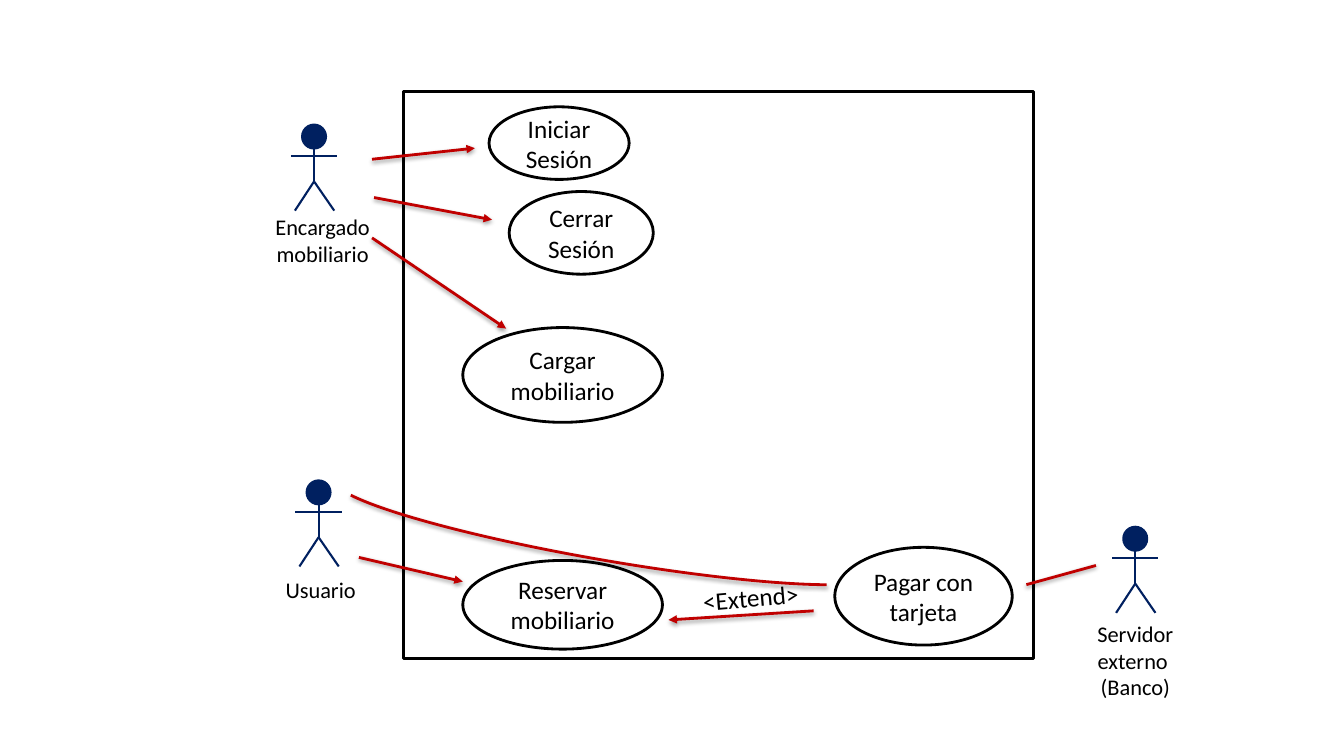
import lxml.etree
import pptx
import pptx.dml.color
import pptx.enum.shapes
import pptx.enum.text
import pptx.oxml.ns
import pptx.util
from dataclasses import dataclass

SHAPES = pptx.enum.shapes.MSO_SHAPE


@dataclass(frozen=True)
class Theme:
    paper: str = "FFFFFF"
    ink: str = "000000"
    actor: str = "002060"
    link: str = "C00000"
    font: str = "Calibri"
    case_size: int = 18
    label_size: int = 16
    outline: float = 2
    limb: float = 1.5
    cell: float = 0.1


class UseCaseDiagram:
    """Draws use-case elements on a page, in columns and rows of the theme's grid."""

    def __init__(self, page, theme):
        self.page = page
        self.theme = theme

    def grid(self, *cells):
        return [pptx.util.Inches(cell * self.theme.cell) for cell in cells]

    def color(self, value):
        return pptx.dml.color.RGBColor.from_string(value)

    def stroke(self, item, color, width):
        item.line.color.rgb = self.color(color)
        item.line.width = pptx.util.Pt(width)

    def child(self, parent, tag, **attributes):
        return lxml.etree.SubElement(parent, pptx.oxml.ns.qn(tag), attributes)

    def effects(self, item, shadow=False):
        effect_list = self.child(item._element.spPr, "a:effectLst")
        if shadow:
            outer = self.child(effect_list, "a:outerShdw", blurRad=str(pptx.util.Pt(3.1)),
                               dist=str(pptx.util.Pt(1.6)), dir="5400000", rotWithShape="0")
            tint = self.child(outer, "a:srgbClr", val=self.theme.ink)
            self.child(tint, "a:alpha", val="37000")

    def add_text(self, item, lines, size):
        frame = item.text_frame
        frame.word_wrap = True
        for index, line in enumerate(lines):
            para = frame.paragraphs[0] if index == 0 else frame.add_paragraph()
            para.alignment = pptx.enum.text.PP_ALIGN.CENTER
            span = para.add_run()
            span.text = line
            span.font.name = self.theme.font
            span.font.size = pptx.util.Pt(size)
            span.font.color.rgb = self.color(self.theme.ink)

    def outline(self, kind, area, fill, line, shapes=None):
        shape = (shapes or self.page.shapes).add_shape(kind, *self.grid(*area))
        shape.fill.solid()
        shape.fill.fore_color.rgb = self.color(fill)
        self.stroke(shape, line, self.theme.outline)
        shape.shadow.inherit = False
        return shape

    def system(self, *area):
        self.outline(SHAPES.RECTANGLE, area, self.theme.paper, self.theme.ink)

    def case(self, text, *area):
        ellipse = self.outline(SHAPES.OVAL, area, self.theme.paper, self.theme.ink)
        ellipse.text_frame.vertical_anchor = pptx.enum.text.MSO_ANCHOR.MIDDLE
        self.add_text(ellipse, [text], self.theme.case_size)

    def label(self, lines, area, size, rotation=0):
        box = self.page.shapes.add_textbox(*self.grid(*area))
        box.rotation = rotation
        self.add_text(box, lines, size)
        box.text_frame.auto_size = pptx.enum.text.MSO_AUTO_SIZE.SHAPE_TO_FIT_TEXT

    def line(self, shapes, ends, color, width):
        straight = pptx.enum.shapes.MSO_CONNECTOR.STRAIGHT
        connector = shapes.add_connector(straight, *self.grid(*ends))
        self.stroke(connector, color, width)
        return connector

    def actor(self, center, top):
        shapes = self.page.shapes.add_group_shape().shapes
        self.outline(SHAPES.OVAL, (center - 1.15, top, 2.3, 2.3),
                     self.theme.actor, self.theme.actor, shapes)
        neck, arms, hips, feet = (top + drop for drop in (2.3, 3.1, 5.6, 8.5))
        limbs = [(center, neck, center, hips), (center - 2.3, arms, center + 2.3, arms),
                 (center, hips, center + 2, feet), (center, hips, center - 1.9, feet)]
        for ends in limbs:
            limb = self.line(shapes, ends, self.theme.actor, self.theme.limb)
            self.effects(limb)

    def link(self, ends, arrow=True):
        connector = self.line(self.page.shapes, ends, self.theme.link, self.theme.outline)
        if arrow:
            stroke = connector._element.spPr.find(pptx.oxml.ns.qn("a:ln"))
            self.child(stroke, "a:tailEnd", type="triangle")
        self.effects(connector, shadow=True)

    def curve(self, area, rotation, start, end):
        arc = self.page.shapes.add_shape(SHAPES.ARC, *self.grid(*area))
        arc.adjustments[0] = start
        arc.adjustments[1] = end
        arc.rotation = rotation
        arc._element.spPr.find(pptx.oxml.ns.qn("a:xfrm")).set("flipH", "1")
        arc.fill.background()
        self.stroke(arc, self.theme.link, self.theme.outline)
        self.effects(arc, shadow=True)


def main():
    deck = pptx.Presentation()
    deck.slide_width = pptx.util.Inches(13.33)
    deck.slide_height = pptx.util.Inches(7.5)
    theme = Theme()
    diagram = UseCaseDiagram(deck.slides.add_slide(deck.slide_layouts[6]), theme)

    diagram.system(40, 9.1, 62.5, 56.2)

    for center, top in [(31.6, 47.7), (112.6, 52.3), (31.15, 12.4)]:
        diagram.actor(center, top)

    diagram.label(["Usuario"], (24.9, 56.7, 13.8, 3.7), theme.label_size)
    diagram.label(["Servidor externo ", "(Banco)"], (106.7, 61, 11.8, 9.1), theme.label_size)
    diagram.label(["Encargado", "mobiliario"], (25.6, 20.7, 12.8, 6.4), theme.label_size)
    diagram.label(["<Extend>"], (67.9, 57.3, 13.1, 4), theme.case_size, rotation=355)

    diagram.case("Iniciar Sesión", 48.5, 10.6, 13.9, 7.2)
    diagram.case("Cerrar Sesión", 50.5, 19, 14.3, 8.2)
    diagram.case("Cargar mobiliario", 45.9, 32.5, 19.8, 9.4)
    diagram.case("Reservar mobiliario", 45.9, 55.6, 19.8, 8.8)
    diagram.case("Pagar con tarjeta", 82.8, 54.3, 17.6, 9.7)

    for ends in [(36.9, 15.8, 47.1, 14.7), (37.1, 19.6, 48.8, 21.8), (36.9, 23.6, 50.2, 32.6),
                 (35.6, 55.3, 45.9, 57.7), (80.7, 60.6, 66.3, 61.5)]:
        diagram.link(ends)
    diagram.link((101.8, 58, 108.7, 56.1), arrow=False)
    diagram.curve((32.7, 49, 55.2, 6.6), rotation=189.8, start=109.62, end=213.03)

    deck.save("out.pptx")


if __name__ == "__main__":
    main()
